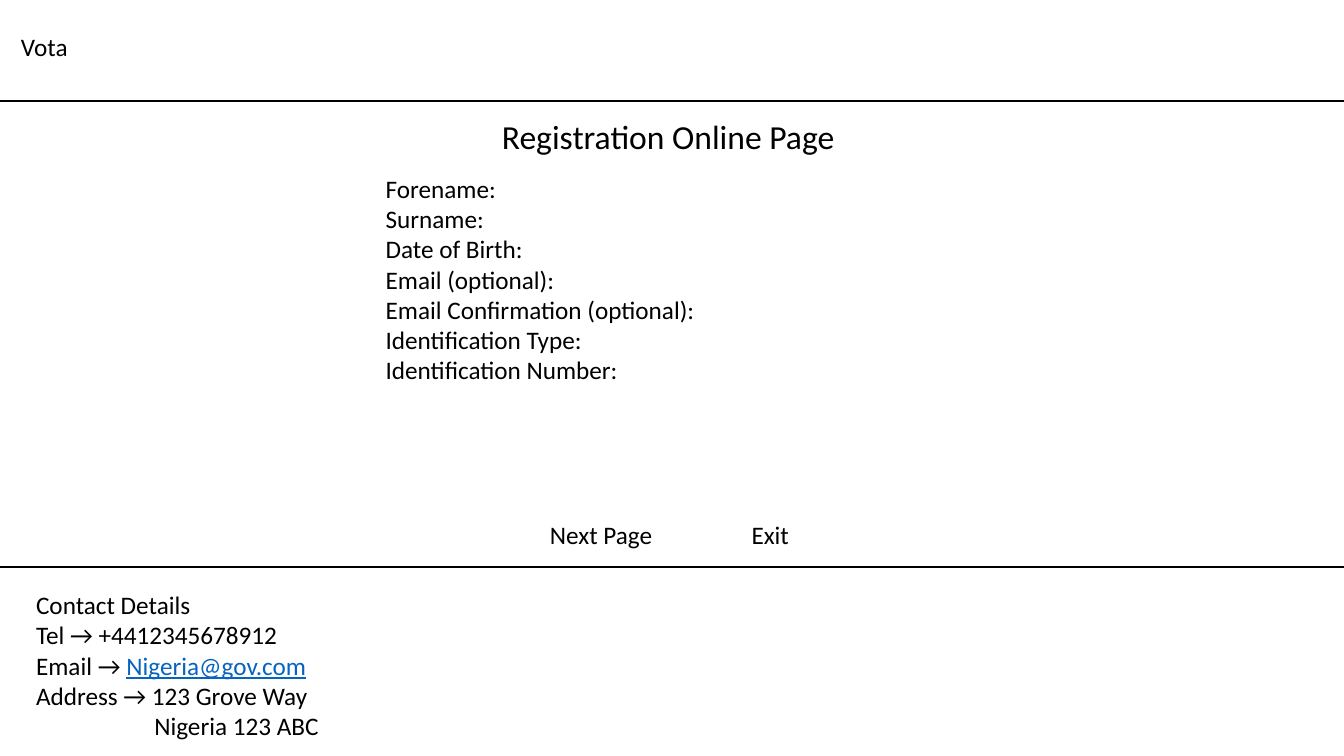
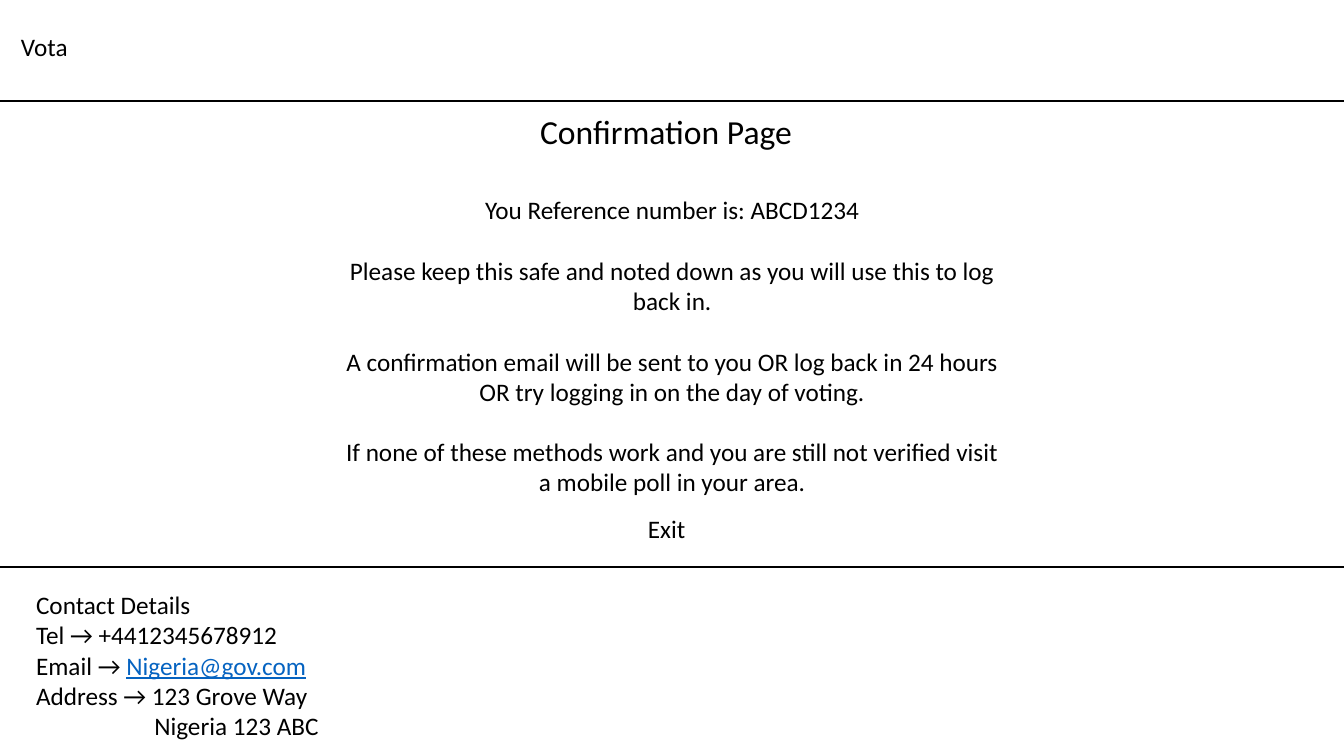
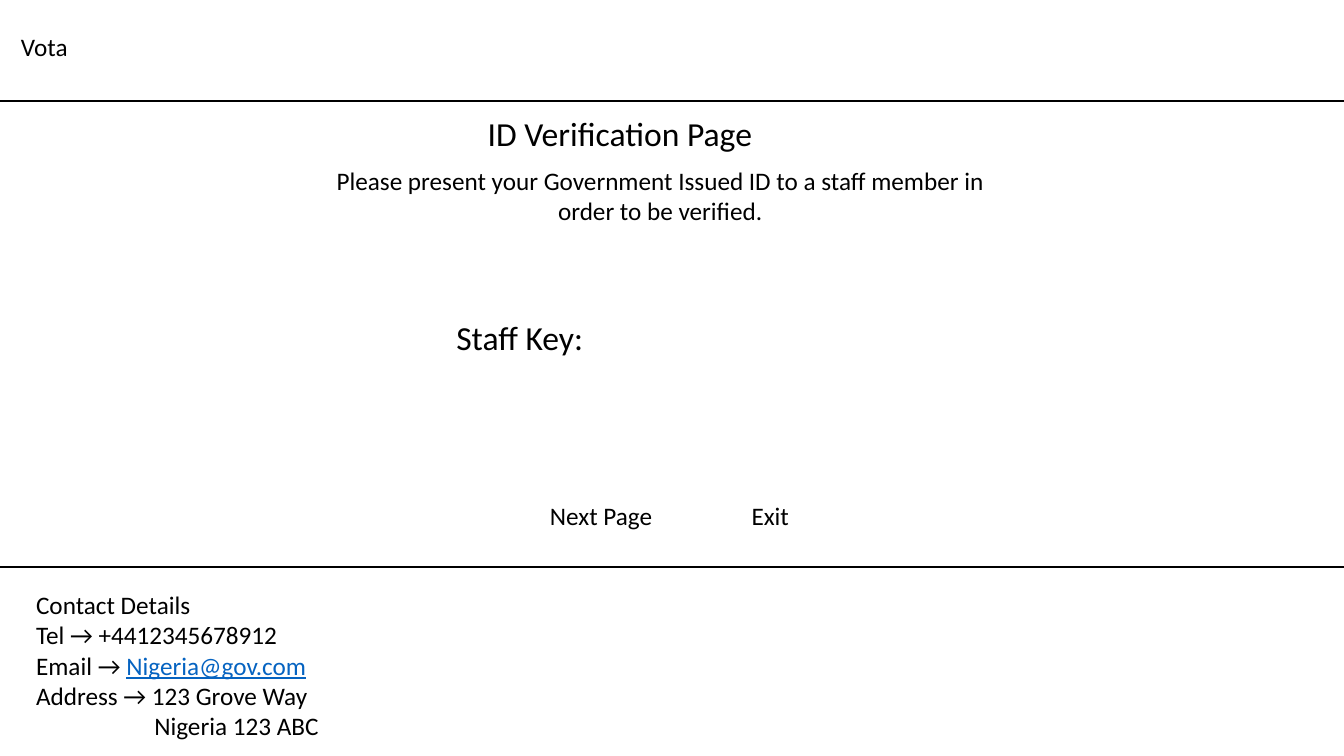
from collections import namedtuple

from lxml.etree import SubElement
from pptx import Presentation
from pptx.dml.color import RGBColor
from pptx.enum.shapes import MSO_CONNECTOR
from pptx.enum.text import MSO_AUTO_SIZE, PP_ALIGN
from pptx.oxml.ns import qn
from pptx.util import Cm, Pt

BLACK = RGBColor(0x00, 0x00, 0x00)
LINK_BLUE = RGBColor(0x05, 0x63, 0xC1)

BODY_TEXT = {"name": "Calibri", "size": Pt(18)}
TITLE_TEXT = {"name": "Calibri", "size": Pt(24)}
FRAME_FORMAT = {"word_wrap": True, "auto_size": MSO_AUTO_SIZE.SHAPE_TO_FIT_TEXT}
LINE_HEIGHT = 1.02
TITLE_HEIGHT = 1.27
BUTTON_TAB = 5.08
ADDRESS_INDENT = 2.98

Box = namedtuple("Box", "left top width height")

SLIDE_WIDTH, SLIDE_HEIGHT = 33.87, 19.05
HEADER = Box(0, 0, SLIDE_WIDTH, 2.54)
BODY = Box(0, 2.54, SLIDE_WIDTH, 11.75)
FOOTER = Box(0, 14.29, SLIDE_WIDTH, 4.76)


def inside(box, left, top, width, height):
    """Return a box whose offset is measured from the corner of another box."""
    return Box(box.left + left, box.top + top, width, height)


def apply_format(target, values):
    for name, value in values.items():
        setattr(target, name, value)


def add_run(paragraph, text, font_format, color=BLACK):
    run = paragraph.add_run()
    run.text = text
    apply_format(run.font, font_format)
    run.font.color.rgb = color


def add_text(slide, box, lines, font_format=BODY_TEXT, align=PP_ALIGN.LEFT, gap=0):
    """Add a text box with one paragraph per line and return its paragraphs."""
    shape = slide.shapes.add_textbox(*(Cm(length) for length in box))
    frame = shape.text_frame
    apply_format(frame, FRAME_FORMAT)
    for index, line in enumerate(lines):
        paragraph = frame.paragraphs[0] if index == 0 else frame.add_paragraph()
        paragraph.alignment = align
        if index and gap:
            paragraph.space_before = Pt(gap)
        if line:
            add_run(paragraph, line, font_format)
    return frame.paragraphs


def add_rule(slide, box):
    """Draw a line along the top edge of a box."""
    top = Cm(box.top)
    line = slide.shapes.add_connector(
        MSO_CONNECTOR.STRAIGHT, Cm(box.left), top, Cm(box.left + box.width), top
    )
    line.line.color.rgb = BLACK
    line.line.width = Pt(1.5)
    SubElement(line._element.spPr, qn("a:effectLst"))


def add_title(slide, box, text):
    add_text(slide, box, [text], TITLE_TEXT)


def add_header(slide, box):
    add_text(slide, inside(box, 0.28, 0.66, 14.71, LINE_HEIGHT), ["Vota"])


def add_footer(slide, box):
    add_rule(slide, box)
    paragraphs = add_text(
        slide,
        inside(box, 0.66, 0.44, 14.07, 4.11),
        [
            "Contact Details",
            "Tel → +4412345678912",
            "Email → ",
            "Address → 123 Grove Way",
            "Nigeria 123 ABC",
        ],
    )
    add_run(paragraphs[2], "Nigeria@gov.com", {**BODY_TEXT, "underline": True}, LINK_BLUE)
    paragraphs[4]._p.get_or_add_pPr().set("marL", str(Cm(ADDRESS_INDENT)))


def add_buttons(slide, box):
    """Add the two button labels, the second one at a tab stop."""
    paragraph = add_text(slide, box, [""])[0]
    tabs = SubElement(paragraph._p.get_or_add_pPr(), qn("a:tabLst"))
    SubElement(tabs, qn("a:tab"), pos=str(Cm(BUTTON_TAB)), algn="l")
    add_run(paragraph, "Next Page\tExit", BODY_TEXT)


def add_registration(slide, box):
    add_title(slide, inside(box, 12.4, 0.25, 9.07, TITLE_HEIGHT), "Registration Online Page")
    fields = [
        "Forename",
        "Surname",
        "Date of Birth",
        "Email (optional)",
        "Email Confirmation (optional)",
        "Identification Type",
        "Identification Number",
    ]
    add_text(slide, inside(box, 9.47, 1.7, 14.94, 5.64), [f"{field}:" for field in fields])
    add_buttons(slide, inside(box, 13.61, 10.41, 6.65, LINE_HEIGHT))


def add_confirmation(slide, box):
    add_title(slide, inside(box, 13.36, 0.13, 7.14, TITLE_HEIGHT), "Confirmation Page")
    add_text(
        slide,
        inside(box, 8.43, 2.24, 17.02, 7.95),
        [
            "You Reference number is: ABCD1234",
            "Please keep this safe and noted down as you will use this to log back in.",
            "A confirmation email will be sent to you OR log back in 24 hours "
            "OR try logging in on the day of voting.",
            "If none of these methods work and you are still not verified "
            "visit a mobile poll in your area.",
        ],
        align=PP_ALIGN.CENTER,
        gap=21.6,
    )
    add_text(slide, inside(box, 16.08, 10.26, 1.7, LINE_HEIGHT), ["Exit"])


def add_verification(slide, box):
    add_title(slide, inside(box, 12.04, 0.18, 9.8, TITLE_HEIGHT), "ID Verification Page")
    add_text(
        slide,
        inside(box, 8.13, 1.5, 17.02, 1.8),
        ["Please present your Government Issued ID to a staff member in order to be verified."],
        align=PP_ALIGN.CENTER,
    )
    add_title(slide, inside(box, 11.25, 5.33, 11.35, TITLE_HEIGHT), "Staff Key:")
    add_buttons(slide, inside(box, 13.61, 9.95, 6.65, LINE_HEIGHT))


def main():
    presentation = Presentation()
    presentation.slide_width = Cm(SLIDE_WIDTH)
    presentation.slide_height = Cm(SLIDE_HEIGHT)
    blank_layout = presentation.slide_layouts[6]
    for add_body in (add_registration, add_confirmation, add_verification):
        slide = presentation.slides.add_slide(blank_layout)
        add_header(slide, HEADER)
        add_rule(slide, BODY)
        add_body(slide, BODY)
        add_footer(slide, FOOTER)
    presentation.save("out.pptx")


if __name__ == "__main__":
    main()
